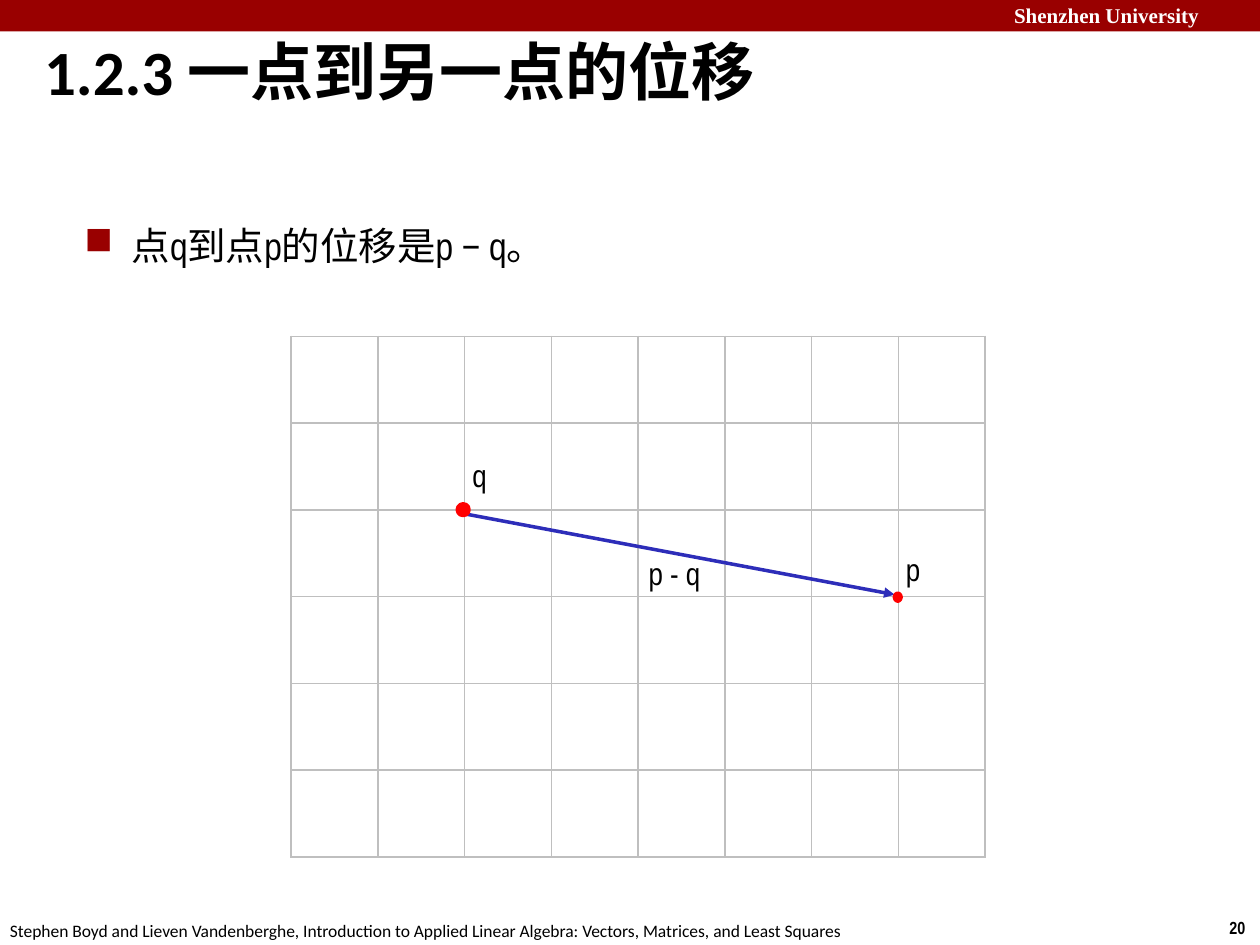
from lxml import etree
from pptx import Presentation
from pptx.dml.color import RGBColor
from pptx.enum.shapes import MSO_CONNECTOR, MSO_SHAPE
from pptx.enum.text import MSO_ANCHOR, MSO_AUTO_SIZE, PP_ALIGN
from pptx.oxml.ns import qn
from pptx.util import Pt

LINE = MSO_CONNECTOR.STRAIGHT
RECTANGLE, OVAL = MSO_SHAPE.RECTANGLE, MSO_SHAPE.OVAL
MIDDLE, LEFT = MSO_ANCHOR.MIDDLE, PP_ALIGN.LEFT
NO_AUTOSIZE = MSO_AUTO_SIZE.NONE

TITLE_ONLY = 5
COLOURS = {"banner": "990000", "white": "FFFFFF", "text": "000000",
           "grid": "BFBFBF", "arrow": "2D2DB9", "point": "FF0000"}
NARROW, SANS, SERIF = "Arial Narrow", "Calibri", "Times New Roman"
GRID_ROWS, GRID_COLUMNS, CELL = 6, 8, 49.6


def colour(name):
    return RGBColor.from_string(COLOURS[name])


def format_text(para, font, size, bold=False, ink="text"):
    for span in para.runs:
        span.font.name = font
        span.font.size = Pt(size)
        span.font.bold = bold
        span.font.color.rgb = colour(ink)


def set_hanging_indent(para, indent):
    properties = para._p.get_or_add_pPr()
    properties.set("marL", str(Pt(indent)))
    properties.set("indent", str(Pt(-indent)))
    return properties


def add_text(slide, text, left, top, width, height, font, size,
             bold=False, ink="text", wrap=False):
    box = slide.shapes.add_textbox(Pt(left), Pt(top), Pt(width), Pt(height))
    box.text_frame.text = text
    box.text_frame.word_wrap = wrap
    format_text(box.text_frame.paragraphs[0], font, size, bold, ink)
    return box


def add_shape(slide, kind, left, top, width, height, fill, line_width=0):
    shape = slide.shapes.add_shape(kind, Pt(left), Pt(top), Pt(width), Pt(height))
    shape.shadow.inherit = False
    shape.fill.solid()
    shape.fill.fore_color.rgb = colour(fill)
    if line_width:
        shape.line.color.rgb = colour(fill)
        shape.line.width = Pt(line_width)
    else:
        shape.line.fill.background()


def add_title(slide, text):
    title = slide.shapes.title
    title.left, title.top, title.width, title.height = Pt(18), Pt(18), Pt(693.4), Pt(44.6)
    frame = title.text_frame
    frame.text = text
    frame.auto_size = NO_AUTOSIZE
    frame.vertical_anchor = MIDDLE
    para = frame.paragraphs[0]
    para.alignment = LEFT
    set_hanging_indent(para, 9.4)
    format_text(para, SANS, 36, bold=True)


def add_bullet(slide, text):
    box = add_text(slide, text, 48.2, 113.8, 266.4, 40.3, NARROW, 22, wrap=True)
    frame = box.text_frame
    frame.margin_left = frame.margin_top = frame.margin_right = frame.margin_bottom = 0
    para = frame.paragraphs[0]
    para.line_spacing = 1.5
    properties = set_hanging_indent(para, 27)
    bullet_colour = etree.SubElement(properties, qn("a:buClr"))
    etree.SubElement(bullet_colour, qn("a:srgbClr"), val=COLOURS["banner"])
    etree.SubElement(properties, qn("a:buChar"), char="■")


def set_borders(cell):
    properties = cell._tc.get_or_add_tcPr()
    for position, side in enumerate(("a:lnL", "a:lnR", "a:lnT", "a:lnB")):
        border = etree.Element(qn(side), w=str(Pt(1)))
        fill = etree.SubElement(border, qn("a:solidFill"))
        etree.SubElement(fill, qn("a:srgbClr"), val=COLOURS["grid"])
        properties.insert(position, border)


def add_grid(slide, left, top):
    frame = slide.shapes.add_table(GRID_ROWS, GRID_COLUMNS, Pt(left), Pt(top),
                                   Pt(GRID_COLUMNS * CELL), Pt(GRID_ROWS * CELL))
    table = frame.table
    table.first_row = table.horz_banding = False
    for column in table.columns:
        column.width = Pt(CELL)
    for row in table.rows:
        row.height = Pt(CELL)
    for cell in table.iter_cells():
        cell.fill.background()
        set_borders(cell)


def add_arrow(slide, start, end):
    arrow = slide.shapes.add_connector(LINE, *(Pt(value) for value in start + end))
    arrow.line.color.rgb = colour("arrow")
    arrow.line.width = Pt(2)
    etree.SubElement(arrow.line._get_or_add_ln(), qn("a:tailEnd"), type="triangle")
    etree.SubElement(arrow._element.spPr, qn("a:effectLst"))


def main():
    deck = Presentation()
    deck.slide_width, deck.slide_height = Pt(720), Pt(540)
    slide = deck.slides.add_slide(deck.slide_layouts[TITLE_ONLY])

    add_shape(slide, RECTANGLE, 0, 0, 720, 18, "banner")
    add_text(slide, "Shenzhen University", 572.4, -2, 152.6, 21.8, SERIF, 12,
             bold=True, ink="white", wrap=True)
    add_text(slide, "20", 695.5, 520.6, 24.5, 19.4, NARROW, 10, bold=True)
    add_text(slide, "Stephen Boyd and Lieven Vandenberghe, Introduction to Applied "
             "Linear Algebra: Vectors, Matrices, and Least Squares",
             -1.4, 522, 517, 19.4, SANS, 10, wrap=True)

    add_grid(slide, 166.3, 192.2)
    add_bullet(slide, "点q到点p的位移是p − q。")
    add_title(slide, "1.2.3 一点到另一点的位移")

    add_arrow(slide, (266.4, 293.8), (511.2, 339.8))
    add_shape(slide, OVAL, 261.4, 288, 6.5, 6.5, "point", 2.25)
    add_shape(slide, OVAL, 511.2, 339.1, 3.6, 4.3, "point", 2.25)
    for label, left, top, width in (("p - q", 363.6, 313.2, 44.6),
                                    ("q", 262.8, 257, 23),
                                    ("p", 510.5, 311, 23)):
        add_text(slide, label, left, top, width, 28.8, NARROW, 18)

    deck.save("out.pptx")


if __name__ == "__main__":
    main()
